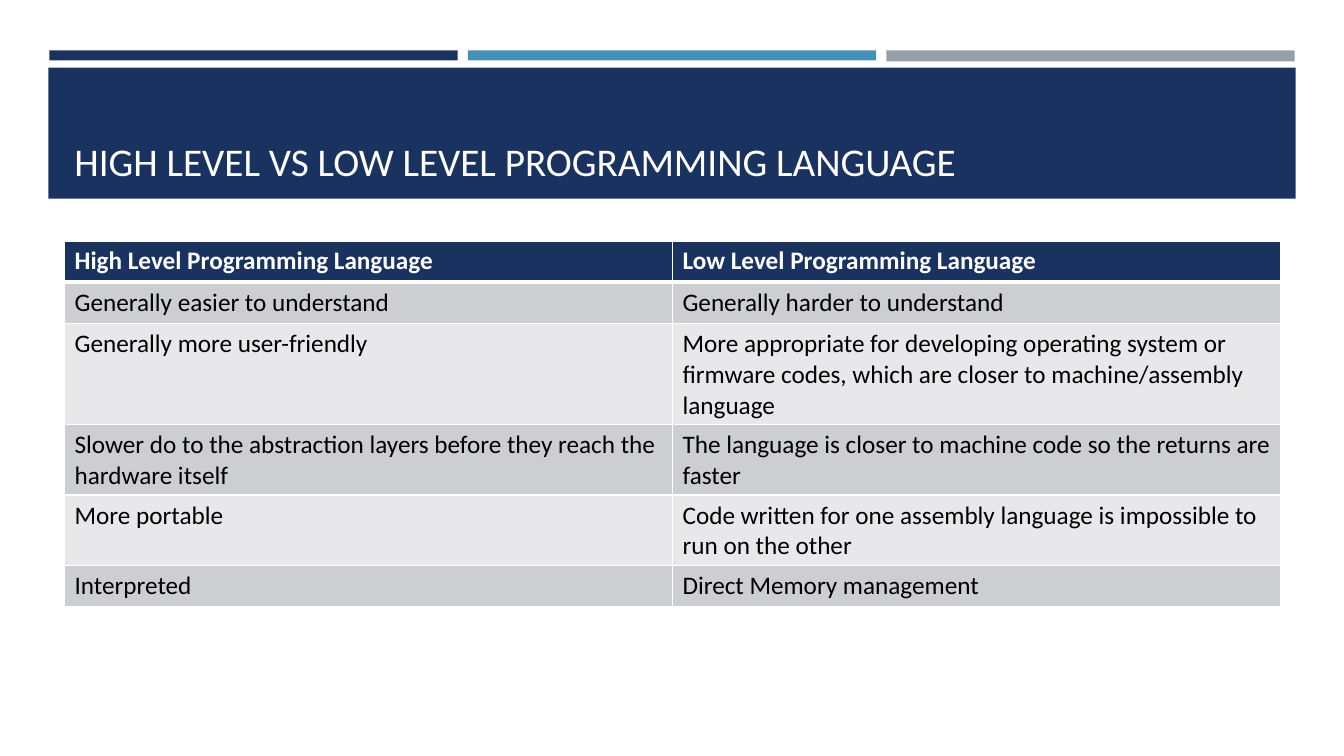
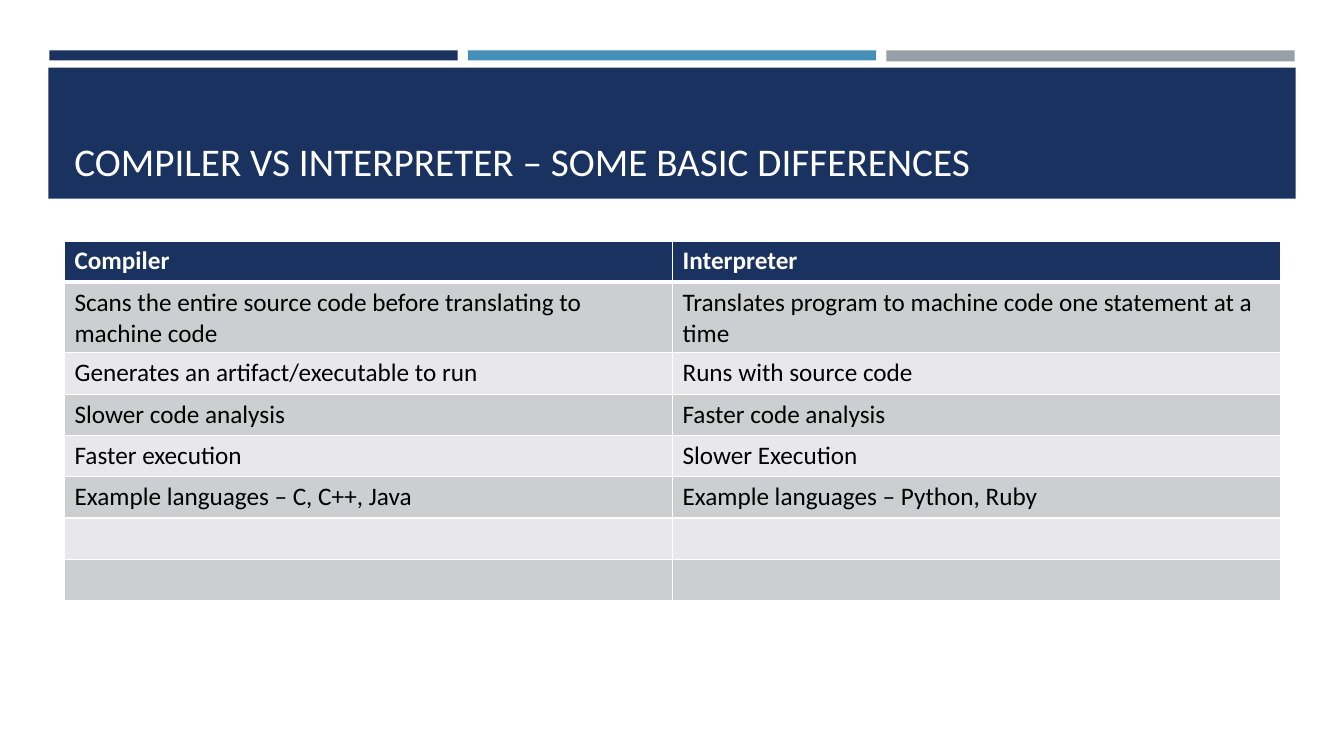
from lxml import etree
from pptx import Presentation
from pptx.dml.color import RGBColor
from pptx.enum.shapes import MSO_SHAPE
from pptx.enum.text import MSO_ANCHOR
from pptx.oxml.ns import qn
from pptx.util import Inches, Pt

RECTANGLE = MSO_SHAPE.RECTANGLE
BOTTOM = MSO_ANCHOR.BOTTOM

FONT = "Calibri"
NAVY, BLUE, GREY = "1A3260", "4590B8", "969FA7"
WHITE, BLACK = "FFFFFF", "000000"
ROW_FILLS = ("CDCED2", "E8E8EA")

COMPARISONS = [
    ("HIGH LEVEL VS LOW LEVEL PROGRAMMING LANGUAGE", [
        ("High Level Programming Language", "Low Level Programming Language"),
        ("Generally easier to understand", "Generally harder to understand"),
        ("Generally more user-friendly",
         "More appropriate for developing operating system or firmware codes, "
         "which are closer to machine/assembly language"),
        ("Slower do to the abstraction layers before they reach the hardware itself",
         "The language is closer to machine code so the returns are faster"),
        ("More portable",
         "Code written for one assembly language is impossible to run on the other"),
        ("Interpreted", "Direct Memory management"),
    ]),
    ("COMPILER VS INTERPRETER – SOME BASIC DIFFERENCES", [
        ("Compiler", "Interpreter"),
        ("Scans the entire source code before translating to machine code",
         "Translates program to machine code one statement at a time"),
        ("Generates an artifact/executable to run", "Runs with source code"),
        ("Slower code analysis", "Faster code analysis"),
        ("Faster execution", "Slower Execution"),
        ("Example languages – C, C++, Java", "Example languages – Python, Ruby"),
        ("", ""),
        ("", ""),
    ]),
]

STRIPES = [(NAVY, 0.1), (BLUE, 0.1), (GREY, 0.11)]
STRIPE_LEFT, STRIPE_TOP, STRIPE_WIDTH, STRIPE_PITCH = 0.49, 0.5, 4.05, 4.15
BAND = (0.48, 0.67, 12.37, 1.3)
TITLE = (0.64, 0.77, 12.06, 1.11)
TABLE_LEFT, TABLE_TOP, TABLE_WIDTH, ROW_HEIGHT = 0.64, 2.39, 12.06, 0.41


def color(value):
    return RGBColor.from_string(value)


def inches(*lengths):
    return [Inches(length) for length in lengths]


def add_bar(slide, box, fill):
    bar = slide.shapes.add_shape(RECTANGLE, *inches(*box))
    bar.shadow.inherit = False
    bar.fill.solid()
    bar.fill.fore_color.rgb = color(fill)
    bar.line.fill.background()


def add_text(frame, text, size, ink, bold=False):
    run = frame.paragraphs[0].add_run()
    run.text = text
    run.font.name = FONT
    run.font.size = Pt(size)
    run.font.bold = bold
    run.font.color.rgb = color(ink)


def set_border(cell, side, points):
    line = etree.SubElement(cell._tc.get_or_add_tcPr(), qn(f"a:ln{side}"), w=str(Pt(points)))
    solid = etree.SubElement(line, qn("a:solidFill"))
    etree.SubElement(solid, qn("a:srgbClr"), val=WHITE)


def add_heading(slide, title):
    for i, (fill, height) in enumerate(STRIPES):
        left = STRIPE_LEFT + i * STRIPE_PITCH
        add_bar(slide, (left, STRIPE_TOP, STRIPE_WIDTH, height), fill)
    add_bar(slide, BAND, NAVY)
    frame = slide.shapes.add_textbox(*inches(*TITLE)).text_frame
    frame.word_wrap = True
    frame.vertical_anchor = BOTTOM
    add_text(frame, title, 28, WHITE)


def add_comparison(slide, rows):
    box = inches(TABLE_LEFT, TABLE_TOP, TABLE_WIDTH, ROW_HEIGHT * len(rows))
    table = slide.shapes.add_table(len(rows), len(rows[0]), *box).table
    for r, texts in enumerate(rows):
        header = r == 0
        table.rows[r].height = Inches(ROW_HEIGHT)
        fill = NAVY if header else ROW_FILLS[(r - 1) % 2]
        for c, text in enumerate(texts):
            cell = table.cell(r, c)
            borders = {"L": 1, "R": 1, "T": 3 if r == 1 else 1, "B": 3 if header else 1}
            for side, points in borders.items():
                set_border(cell, side, points)
            cell.fill.solid()
            cell.fill.fore_color.rgb = color(fill)
            if text:
                add_text(cell.text_frame, text, 18, WHITE if header else BLACK, header)


deck = Presentation()
deck.slide_width, deck.slide_height = inches(13.33, 7.5)
for title, rows in COMPARISONS:
    slide = deck.slides.add_slide(deck.slide_layouts[6])
    add_heading(slide, title)
    add_comparison(slide, rows)
deck.save("out.pptx")
